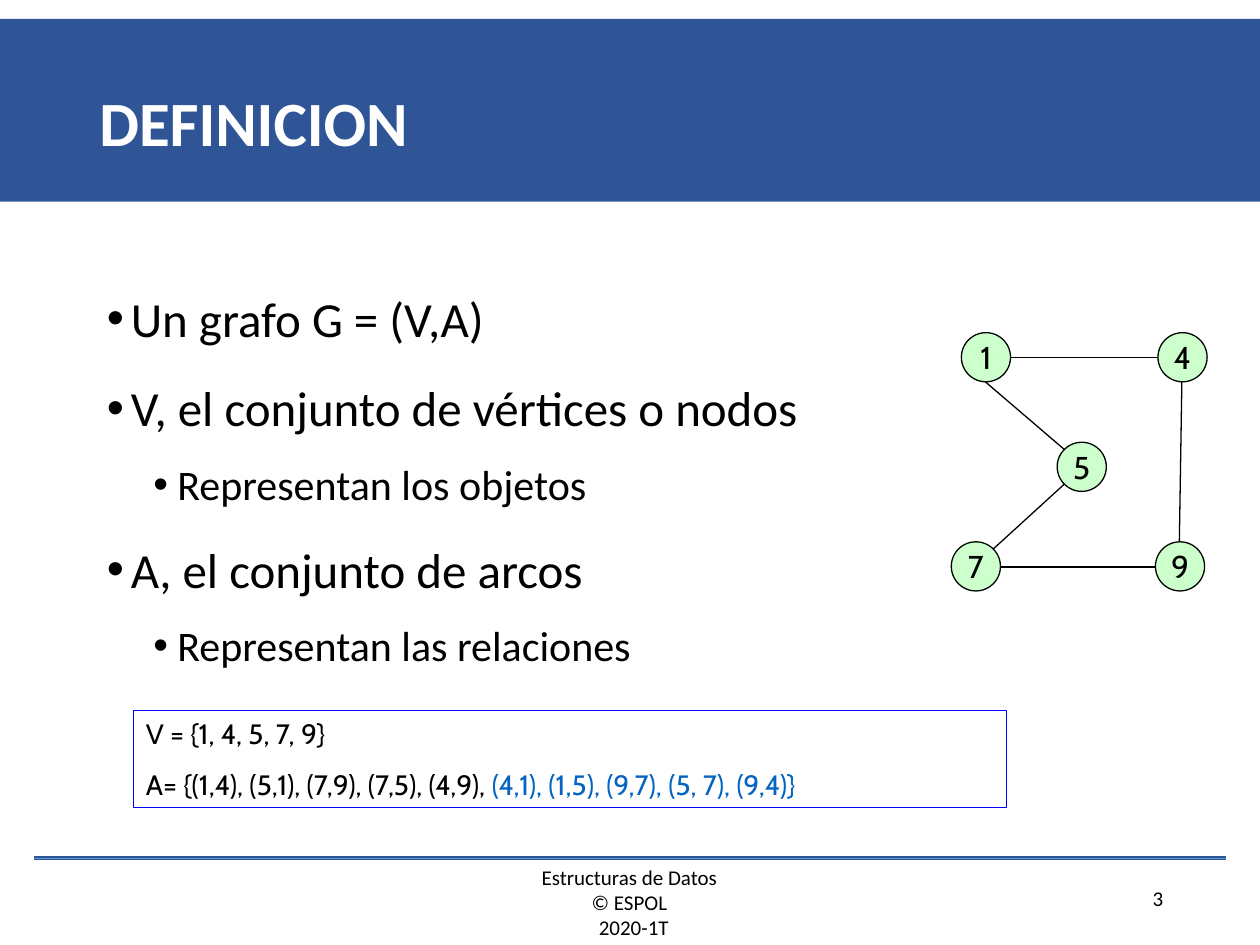
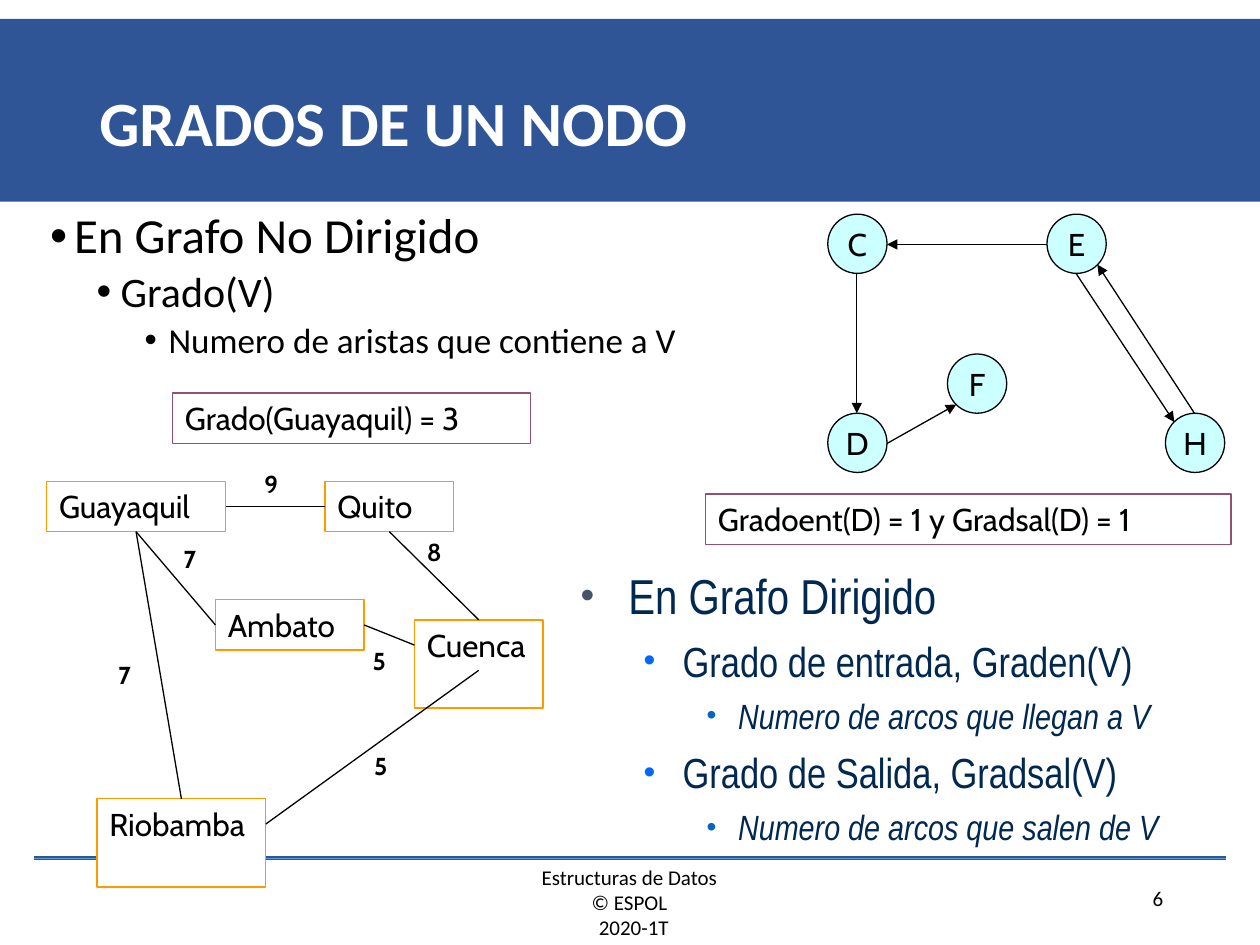
"""Builds two slides on graphs: the definition and the degrees of a node."""
from dataclasses import dataclass

from lxml.etree import SubElement
from pptx import Presentation
from pptx.dml.color import RGBColor
from pptx.enum.shapes import MSO_CONNECTOR, MSO_SHAPE
from pptx.enum.text import MSO_ANCHOR, PP_ALIGN
from pptx.oxml.ns import qn
from pptx.util import Pt

SCALE = 9144
SITES = {"n": (0.5, 0), "s": (0.5, 1), "w": (0, 0.5), "e": (1, 0.5),
         "nw": (0.15, 0.15), "ne": (0.85, 0.15),
         "sw": (0.15, 0.85), "se": (0.85, 0.85)}


@dataclass(frozen=True)
class Theme:
    band: str = "2F5597"
    rule: str = "5B9BD5"
    ink: str = "000000"
    paper: str = "FFFFFF"
    navy: str = "002850"
    link: str = "0563C1"
    set_border: str = "0000FF"
    result_border: str = "954F72"
    city_border: str = "FF9900"
    green: str = "CCFFCC"
    cyan: str = "CCFFFF"
    body: str = "Calibri"
    diagram: str = "Cabin"
    narrow: str = "Arial Narrow"
    title_size: int = 36
    level_sizes: tuple = (28, 24, 20)
    node_size: int = 18
    set_size: int = 16
    weight_size: int = 14
    footer_size: int = 12
    plain_bullets: tuple = ("000000",) * 3
    plain_indents: tuple = ((19, 19), (56, 19), (94, 19))
    plain_before: tuple = (7.5, 3.7, 3.7)
    narrow_bullets: tuple = ("44546A", "0066FF", "0563C1")
    narrow_indents: tuple = ((38, 38), (81, 31), (125, 25))
    narrow_before: tuple = (7, 6, 5)


def px(n):
    return round(n * SCALE)


def rgb(color):
    return RGBColor.from_string(color)


def write(tf, text, *, font, size, color="000000", bold=False, italic=False,
          align=PP_ALIGN.LEFT, spacing=1.0, before=0, indent=0, hang=0,
          bullet=None, bullet_pct=100, level=0, join=False):
    p = tf.paragraphs[-1]
    if p.runs and not join:
        p = tf.add_paragraph()
        p.space_before = Pt(before)
    if not join:
        p.alignment, p.line_spacing, p.level = align, spacing, level
        pPr = p._p.get_or_add_pPr()
        pPr.set("marL", str(px(indent)))
        pPr.set("indent", str(px(-hang)))
        if bullet:
            clr = SubElement(pPr, qn("a:buClr"))
            SubElement(clr, qn("a:srgbClr"), val=bullet)
            SubElement(pPr, qn("a:buSzPct"), val=str(bullet_pct * 1000))
            SubElement(pPr, qn("a:buFont"), typeface="Arial")
            SubElement(pPr, qn("a:buChar"), char="•")
    r = p.add_run()
    r.text = text
    f = r.font
    f.name, f.size, f.bold, f.italic = font, Pt(size), bold, italic
    f.color.rgb = rgb(color)


class Deck:
    def __init__(self, theme):
        self.t = theme
        self.prs = Presentation()
        self.prs.slide_width, self.prs.slide_height = px(1000), px(750)
        self.s = None

    def slide(self, title, number):
        t = self.t
        self.s = self.prs.slides.add_slide(self.prs.slide_layouts[6])
        small = dict(font=t.body, size=t.footer_size)
        tf = self.text(325, 681, 349, 70)
        for line, indent in (("Estructuras de Datos", 0), ("© ESPOL", 0),
                             ("2020-1T", 7)):
            write(tf, line, align=PP_ALIGN.CENTER, indent=indent, **small)
        write(self.text(720, 698, 213, 31), number,
              align=PP_ALIGN.RIGHT, **small)
        for color, width in ((t.band, 2.25), (t.rule, 0.5)):
            self.line((27, 681), (973, 681), color, width)
        self.shape(MSO_SHAPE.RECTANGLE, 0, 15, 1000, 145, fill=t.band)
        tf = self.text(69, 40, 863, 120)
        tf.vertical_anchor = MSO_ANCHOR.MIDDLE
        write(tf, title, font=t.body, size=t.title_size, color=t.paper,
              bold=True, spacing=0.9)

    def text(self, x, y, w, h):
        tf = self.s.shapes.add_textbox(px(x), px(y), px(w), px(h)).text_frame
        tf.word_wrap = True
        return tf

    def shape(self, kind, x, y, w, h, fill=None, border=None):
        sp = self.s.shapes.add_shape(kind, px(x), px(y), px(w), px(h))
        sp.shadow.inherit = False
        if fill:
            sp.fill.solid()
            sp.fill.fore_color.rgb = rgb(fill)
        else:
            sp.fill.background()
        if border:
            sp.line.color.rgb = rgb(border)
            sp.line.width = Pt(0.75)
        else:
            sp.line.fill.background()
        return sp.text_frame

    def line(self, start, end, color, width=0.75, arrow=False):
        cx = self.s.shapes.add_connector(
            MSO_CONNECTOR.STRAIGHT, *map(px, start), *map(px, end))
        cx.line.color.rgb = rgb(color)
        cx.line.width = Pt(width)
        if arrow:
            SubElement(cx.line._get_or_add_ln(), qn("a:tailEnd"),
                       type="triangle")
        SubElement(cx._element.spPr, qn("a:effectLst"))

    def bullets(self, x, y, w, h, items, spacing=0.9):
        t = self.t
        tf = self.text(x, y, w, h)
        for level, item in items:
            indent, hang = t.plain_indents[level]
            write(tf, item, font=t.body, size=t.level_sizes[level],
                  level=level, indent=indent, hang=hang, spacing=spacing,
                  before=t.plain_before[level], bullet=t.plain_bullets[level])

    def narrow_bullets(self, x, y, w, h, items):
        t = self.t
        tf = self.text(x, y, w, h)
        for level, item in items:
            indent, hang = t.narrow_indents[level]
            write(tf, item, font=t.narrow, size=t.level_sizes[level],
                  color=t.navy, italic=level == 2, level=level,
                  indent=indent, hang=hang, before=t.narrow_before[level],
                  bullet=t.narrow_bullets[level], bullet_pct=80)

    def box(self, x, y, w, h, border, fill=None):
        tf = self.shape(MSO_SHAPE.RECTANGLE, x, y, w, h, fill, border)
        tf.word_wrap = True
        tf.vertical_anchor = MSO_ANCHOR.TOP
        return tf

    def labelled_box(self, text, x, y, w, border, h=40, fill=None):
        write(self.box(x, y, w, h, border, fill), text,
              font=self.t.diagram, size=self.t.node_size)
        return x, y, w, 40

    def node(self, text, x, y, d, fill):
        tf = self.shape(MSO_SHAPE.OVAL, x, y, d, d, fill, self.t.ink)
        tf.word_wrap = False
        tf.vertical_anchor = MSO_ANCHOR.MIDDLE
        write(tf, text, font=self.t.diagram, size=self.t.node_size,
              align=PP_ALIGN.CENTER)
        return x, y, d, d

    def edges(self, nodes, links, arrow=False):
        def point(name, site):
            x, y, w, h = nodes[name]
            fx, fy = SITES[site]
            return round(x + w * fx), round(y + h * fy)

        for a, site_a, b, site_b in links:
            self.line(point(a, site_a), point(b, site_b), self.t.ink,
                      arrow=arrow)

    def weight(self, text, x, y):
        write(self.text(x, y, 39, 34), text, font=self.t.diagram,
              size=self.t.weight_size, bold=True)


def definition(deck):
    t = deck.t
    deck.slide("DEFINICION", "3")
    deck.bullets(75, 210, 850, 450, [
        (0, "Un grafo G = (V,A)"),
        (0, "V, el conjunto de vértices o nodos"),
        (1, "Representan los objetos"),
        (0, "A, el conjunto de arcos"),
        (1, "Representan las relaciones")], spacing=1.3)
    tf = deck.box(106, 564, 693, 77, t.set_border)
    fmt = dict(font=t.diagram, size=t.set_size, before=10)
    write(tf, "V = {1, 4, 5, 7, 9}", **fmt)
    write(tf, "A= {(1,4), (5,1), (7,9), (7,5), (4,9), ", **fmt)
    write(tf, "(4,1), (1,5), (9,7), (5, 7), (9,4)}", color=t.link,
          join=True, **fmt)
    places = {"1": (763, 264), "4": (919, 264), "5": (839, 351),
              "7": (755, 430), "9": (917, 430)}
    nodes = {n: deck.node(n, x, y, 39, t.green)
             for n, (x, y) in places.items()}
    deck.edges(nodes, [
        ("1", "e", "4", "w"), ("1", "s", "5", "nw"), ("5", "sw", "7", "ne"),
        ("7", "e", "9", "w"), ("9", "n", "4", "s")])


def degrees(deck):
    t = deck.t
    deck.slide("GRADOS DE UN NODO", "6")
    deck.bullets(30, 163, 607, 162, [
        (0, "En Grafo No Dirigido"),
        (1, "Grado(V)"),
        (2, "Numero de aristas que contiene a V")])
    deck.narrow_bullets(451, 444, 524, 205, [
        (0, "En Grafo Dirigido"),
        (1, "Grado de entrada, Graden(V)"),
        (2, "Numero de arcos que llegan a V"),
        (1, "Grado de Salida, Gradsal(V)"),
        (2, "Numero de arcos que salen de V")])
    places = {"C": (657, 170), "E": (831, 170), "D": (657, 328),
              "F": (752, 281), "H": (925, 328)}
    nodes = {n: deck.node(n, x, y, 47, t.cyan)
             for n, (x, y) in places.items()}
    deck.edges(nodes, [
        ("E", "w", "C", "e"), ("C", "s", "D", "n"), ("D", "e", "F", "sw"),
        ("E", "s", "H", "nw"), ("H", "n", "E", "se")], arrow=True)
    places = {"Guayaquil": (37, 382, 142, 40, None),
              "Quito": (258, 382, 102, 40, None),
              "Cuenca": (329, 492, 102, 70, None),
              "Ambato": (171, 476, 118, 40, None),
              "Riobamba": (77, 634, 134, 70, t.paper)}
    cities = {n: deck.labelled_box(n, x, y, w, t.city_border, h, fill)
              for n, (x, y, w, h, fill) in places.items()}
    deck.edges(cities, [
        ("Guayaquil", "e", "Quito", "w"), ("Guayaquil", "s", "Riobamba", "n"),
        ("Guayaquil", "s", "Ambato", "w"), ("Ambato", "e", "Cuenca", "w"),
        ("Riobamba", "e", "Cuenca", "s"), ("Cuenca", "n", "Quito", "s")])
    for text, x, y in (("5", 287, 591), ("5", 286, 508), ("7", 136, 427),
                       ("9", 200, 367), ("8", 329, 421), ("7", 84, 519)):
        deck.weight(text, x, y)
    deck.labelled_box("Gradoent(D) = 1 y Gradsal(D) = 1", 560, 392, 417,
                      t.result_border)
    deck.labelled_box("Grado(Guayaquil) = 3", 137, 312, 284, t.result_border)


def main():
    deck = Deck(Theme())
    definition(deck)
    degrees(deck)
    deck.prs.save("out.pptx")


if __name__ == "__main__":
    main()
